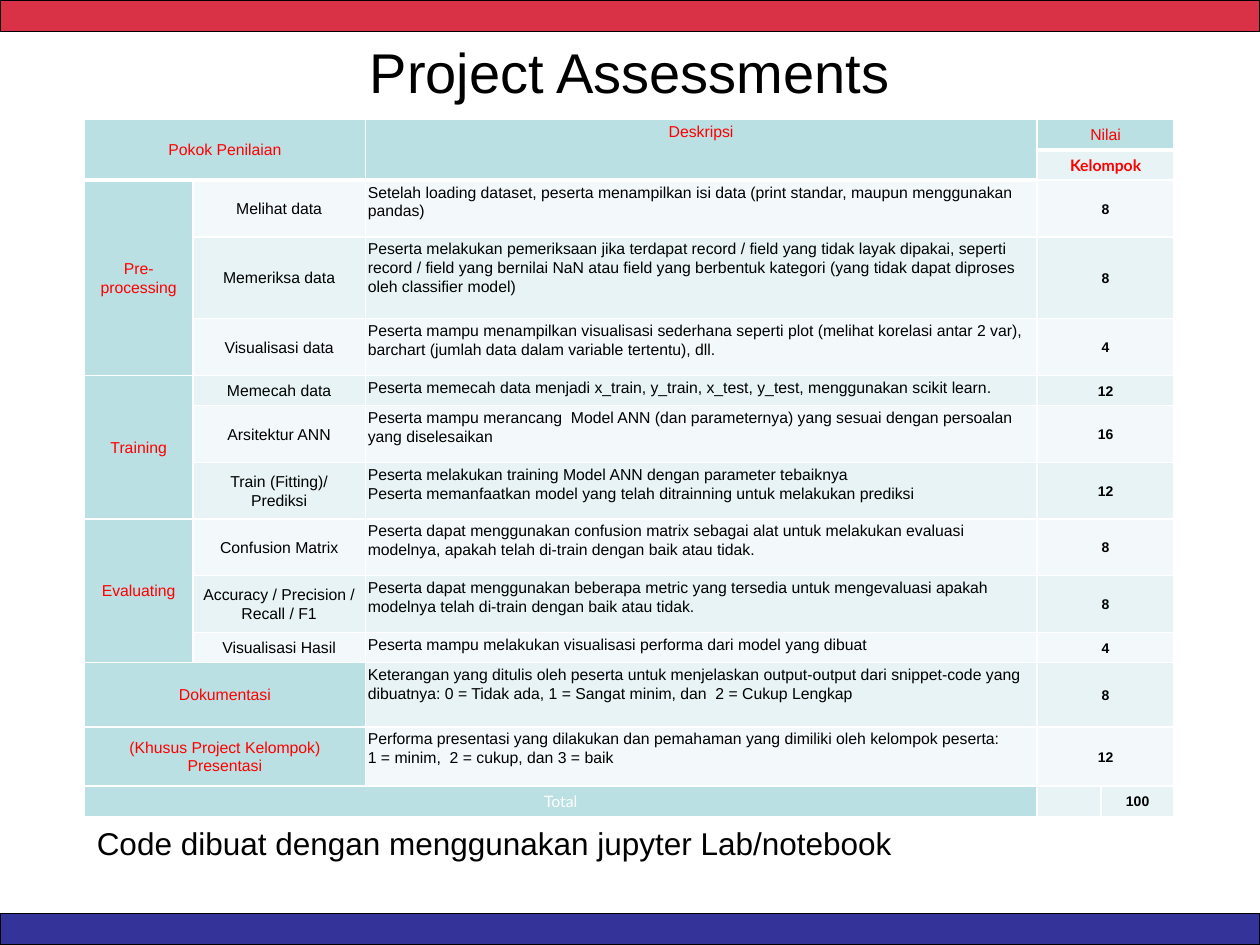
"""Build the Project Assessments slide with its scoring table."""
from lxml.etree import SubElement
from pptx import Presentation
from pptx.dml.color import RGBColor
from pptx.enum.shapes import MSO_SHAPE as Shape
from pptx.enum.text import MSO_ANCHOR as Anchor, PP_ALIGN as Align
from pptx.oxml.ns import qn
from pptx.util import Inches, Pt

RED_BAR = RGBColor(0xD9, 0x31, 0x45)
BLUE_BAR = RGBColor(0x33, 0x33, 0x99)
BLACK = RGBColor(0, 0, 0)
WHITE = RGBColor(0xFF, 0xFF, 0xFF)
RED = RGBColor(0xFF, 0, 0)
TEAL = RGBColor(0xBB, 0xE0, 0xE3)
BANDS = (RGBColor(0xF3, 0xF9, 0xFA), RGBColor(0xE7, 0xF3, 0xF4))

TITLE = "Project Assessments"
FOOTNOTE = "Code dibuat dengan menggunakan jupyter Lab/notebook"
COLUMN_WIDTHS = (0.86, 1.37, 5.33, 0.51, 0.58)
ROW_HEIGHTS = (0.24, 0.24, 0.45, 0.65, 0.45, 0.24, 0.45, 0.45, 0.45, 0.45, 0.24, 0.51, 0.47, 0.24)

STAGES = [
    ("Pre-processing", [
        ("Melihat data", "Setelah loading dataset, peserta menampilkan isi data (print standar, "
         "maupun menggunakan pandas)", 8),
        ("Memeriksa data", "Peserta melakukan pemeriksaan jika terdapat record / field yang tidak "
         "layak dipakai, seperti record / field yang bernilai NaN atau field yang berbentuk "
         "kategori (yang tidak dapat diproses oleh classifier model)", 8),
        ("Visualisasi data", "Peserta mampu menampilkan visualisasi sederhana seperti plot "
         "(melihat korelasi antar 2 var), barchart (jumlah data dalam variable tertentu), dll.", 4),
    ]),
    ("Training", [
        ("Memecah data", "Peserta memecah data menjadi x_train, y_train, x_test, y_test, "
         "menggunakan scikit learn.", 12),
        ("Arsitektur ANN", "Peserta mampu merancang  Model ANN (dan parameternya) yang sesuai "
         "dengan persoalan yang diselesaikan", 16),
        ("Train (Fitting)/\nPrediksi", "Peserta melakukan training Model ANN dengan parameter "
         "tebaiknya\nPeserta memanfaatkan model yang telah ditrainning untuk melakukan prediksi", 12),
    ]),
    ("Evaluating", [
        ("Confusion Matrix", "Peserta dapat menggunakan confusion matrix sebagai alat untuk "
         "melakukan evaluasi modelnya, apakah telah di-train dengan baik atau tidak.", 8),
        ("Accuracy / Precision / Recall / F1", "Peserta dapat menggunakan beberapa metric yang "
         "tersedia untuk mengevaluasi apakah modelnya telah di-train dengan baik atau tidak.", 8),
        ("Visualisasi Hasil", "Peserta mampu melakukan visualisasi performa dari model yang dibuat", 4),
    ]),
    ("Dokumentasi", [
        (None, "Keterangan yang ditulis oleh peserta untuk menjelaskan output-output dari "
         "snippet-code yang dibuatnya: 0 = Tidak ada, 1 = Sangat minim, dan  2 = Cukup Lengkap", 8),
    ]),
    ("(Khusus Project Kelompok)\nPresentasi", [
        (None, "Performa presentasi yang dilakukan dan pemahaman yang dimiliki oleh kelompok "
         "peserta:\n1 = minim,  2 = cukup, dan 3 = baik", 12),
    ]),
]
TOTAL = sum(score for _, criteria in STAGES for _, _, score in criteria)


def style_text(frame, size, color=BLACK, font="Arial", bold=False, align=Align.LEFT, spacing=None):
    for paragraph in frame.paragraphs:
        paragraph.alignment = align
        if spacing:
            paragraph.line_spacing = spacing
        paragraph.font.size = Pt(size)
        paragraph.font.name = font
        paragraph.font.bold = bold
        paragraph.font.color.rgb = color


def add_bar(slide, top, color):
    bar = slide.shapes.add_shape(Shape.RECTANGLE, 0, Inches(top), Inches(10), Inches(0.25))
    bar.shadow.inherit = False
    bar.fill.solid()
    bar.fill.fore_color.rgb = color
    bar.line.color.rgb = BLACK
    bar.line.width = Pt(0.75)


def add_label(slide, text, box, size, align, wrap):
    frame = slide.shapes.add_textbox(*map(Inches, box)).text_frame
    frame.word_wrap = wrap
    frame.vertical_anchor = Anchor.MIDDLE
    frame.text = text
    style_text(frame, size, align=align)


def prepare_cell(cell, row):
    properties = cell._tc.get_or_add_tcPr()
    for side in "LRTB":
        width = 3 if row == 0 and side == "B" else 1
        border = SubElement(properties, qn(f"a:ln{side}"), w=str(Pt(width)))
        SubElement(SubElement(border, qn("a:solidFill")), qn("a:srgbClr"), val=str(WHITE))
    cell.fill.solid()
    cell.fill.fore_color.rgb = BANDS[row % 2]
    cell.margin_left = cell.margin_right = cell.margin_top = cell.margin_bottom = Inches(0.02)


def write(table, row, column, text, rows=1, columns=1, fill=None, color=BLACK,
          align=Align.CENTER, anchor=Anchor.MIDDLE, size=9, spacing=1.07, **font):
    cell = table.cell(row, column)
    if rows > 1 or columns > 1:
        cell.merge(table.cell(row + rows - 1, column + columns - 1))
    if fill is not None:
        cell.fill.fore_color.rgb = fill
    cell.vertical_anchor = anchor
    cell.text_frame.text = text
    style_text(cell.text_frame, size, color, align=align, spacing=spacing, **font)
    return cell


def write_score(table, row, column, score, columns=1):
    cell = write(table, row, column, str(score), columns=columns, size=8, spacing=None, bold=True)
    cell.margin_left = cell.margin_right = cell.margin_top = Inches(0.01)
    cell.margin_bottom = 0


def add_assessment_table(slide):
    table = slide.shapes.add_table(
        len(ROW_HEIGHTS), len(COLUMN_WIDTHS), Inches(0.67), Inches(0.95),
        Inches(sum(COLUMN_WIDTHS)), Inches(sum(ROW_HEIGHTS))).table
    table.first_row = table.horz_banding = False
    for column, width in zip(table.columns, COLUMN_WIDTHS):
        column.width = Inches(width)
    for index, (row, height) in enumerate(zip(table.rows, ROW_HEIGHTS)):
        row.height = Inches(height)
        for cell in row.cells:
            prepare_cell(cell, index)

    heading = {"fill": TEAL, "color": RED}
    write(table, 0, 0, "Pokok Penilaian", rows=2, columns=2, **heading)
    write(table, 0, 2, "Deskripsi", rows=2, anchor=Anchor.TOP, **heading)
    write(table, 0, 3, "Nilai", columns=2, **heading)
    write(table, 1, 3, "Kelompok", columns=2, color=RED, font="Lato", bold=True)

    row = 2
    for stage, criteria in STAGES:
        stage_columns = 1 if criteria[0][0] else 2
        write(table, row, 0, stage, rows=len(criteria), columns=stage_columns, **heading)
        for criterion, description, score in criteria:
            if criterion:
                write(table, row, 1, criterion)
            write(table, row, 2, description, align=Align.LEFT, anchor=Anchor.TOP)
            write_score(table, row, 3, score, columns=2)
            row += 1

    write(table, row, 0, "Total", columns=3, fill=TEAL, color=WHITE, font="Lato")
    write_score(table, row, 4, TOTAL)
    for cell in table.iter_cells():
        if not cell.text:
            SubElement(cell.text_frame.paragraphs[0]._p, qn("a:endParaRPr"), sz="800")


def main():
    deck = Presentation()
    deck.slide_width, deck.slide_height = Inches(10), Inches(7.5)
    slide = deck.slides.add_slide(deck.slide_layouts[6])
    add_bar(slide, 0, RED_BAR)
    add_bar(slide, 7.25, BLUE_BAR)
    add_label(slide, TITLE, (0.5, 0.3, 9, 0.53), 32, Align.CENTER, True)
    add_assessment_table(slide)
    add_label(slide, FOOTNOTE, (0.67, 6.49, 6.57, 0.4), 18, Align.LEFT, False)
    deck.save("out.pptx")


if __name__ == "__main__":
    main()
